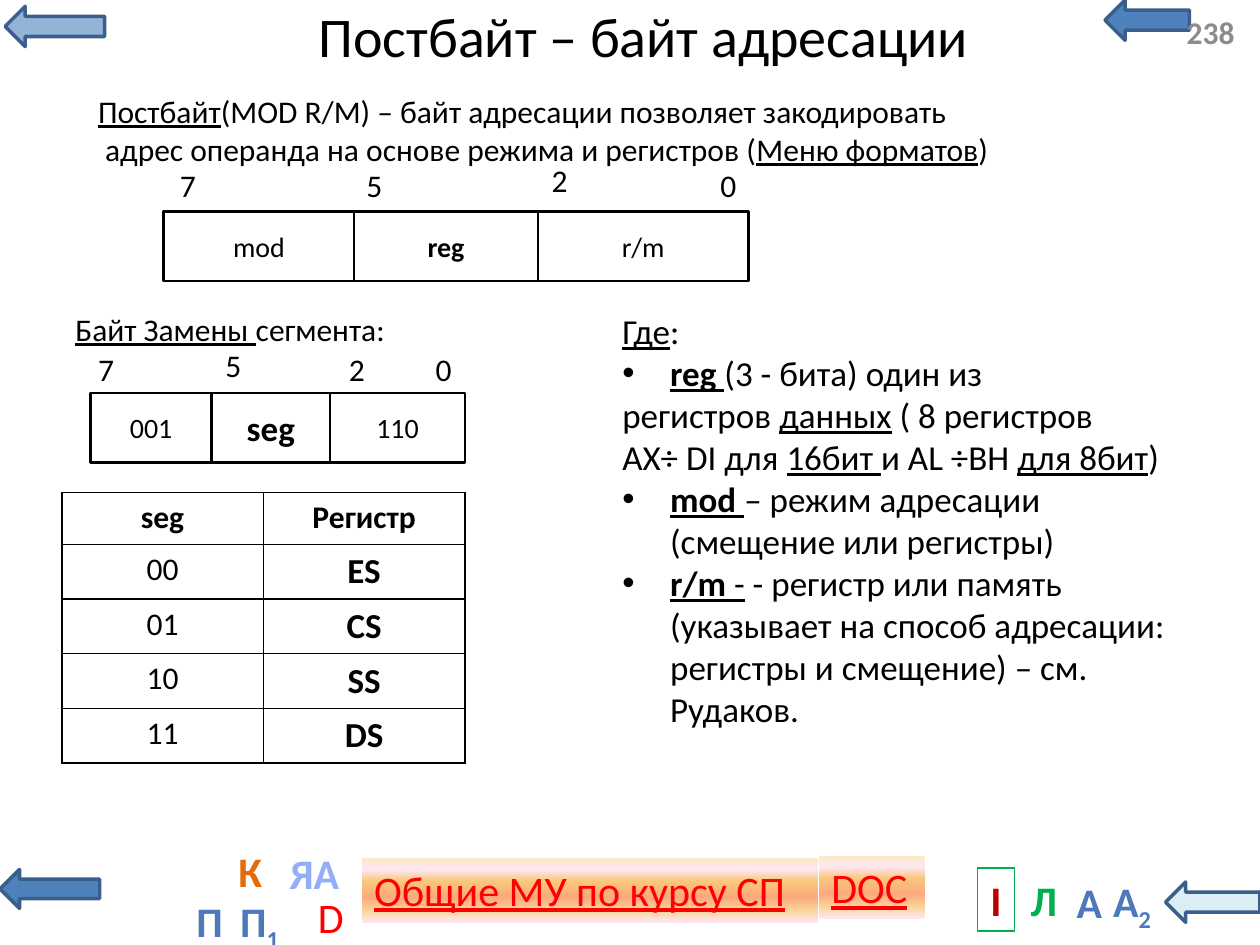
from lxml import etree
from pptx import Presentation
from pptx.dml.color import RGBColor
from pptx.enum.shapes import MSO_SHAPE
from pptx.enum.text import MSO_ANCHOR, PP_ALIGN
from pptx.oxml import parse_xml
from pptx.oxml.ns import qn
from pptx.util import Inches, Pt

RECT, LEFT_ARROW = MSO_SHAPE.RECTANGLE, MSO_SHAPE.LEFT_ARROW
MIDDLE, TOP = MSO_ANCHOR.MIDDLE, MSO_ANCHOR.TOP
CENTER, LEFT = PP_ALIGN.CENTER, PP_ALIGN.LEFT
NS = "http://schemas.openxmlformats.org/drawingml/2006/main"
FONT, BLACK, WHITE, RED, BLUE = "Calibri", "000000", "FFFFFF", "FF0000", "4D79BC"

TITLE = "Постбайт – байт адресации"
PAGE_NUMBER = "238"
ARROWS = [
    (8.77, 0, 0.67, 0.32, "4F81BD"),
    (0, 6.9, 0.79, 0.31, "4F81BD"),
    (0.04, 0.05, 0.79, 0.32, "95B3D7"),
    (9.25, 7, 0.75, 0.32, "DBEEF4"),
]
GLOW_STOPS = [(0, "FBEAC7"), (18, "FEE7F2"), (36, "FAC77D"),
              (61, "FBA97D"), (82, "FBD49C"), (100, "FEE7F2")]
GLOW_BUTTONS = [
    ("Общие МУ по курсу СП", 2.87, 6.81, 3.62, 0.51),
    ("DOC", 6.5, 6.79, 0.84, 0.5),
]
LETTER_BUTTONS = [
    ("D", 2.43, 7.03, 0.39, RED, "", WHITE),
    ("I", 7.76, 6.89, 0.29, "C00000", "b", "00B050"),
]
LETTERS = [
    ("А", "", 8.44, 6.91, 0.41, BLUE),
    ("К", "", 1.79, 6.66, 0.39, "E46C0A"),
    ("Л", "", 8.08, 6.89, 0.41, "00B050"),
    ("А", "2", 8.72, 6.9, 0.53, BLUE),
    ("ЯА", "", 2.18, 6.68, 0.63, "93AEF7"),
    ("П", "", 1.46, 7.06, 0.33, BLUE),
    ("П", "1", 1.79, 7.06, 0.54, BLUE),
]
BYTES = [
    (1.3, 1.68, [("mod", 1.51, 16, ""), ("reg", 1.46, 16, "b"), ("r/m", 1.67, 16, "")]),
    (0.72, 3.12, [("001", 0.96, 16, ""), ("seg", 0.94, 20, "b"), ("110", 1.07, 16, "")]),
]
BIT_NUMBERS = [
    ("7", 1.33, 1.27), ("5", 2.81, 1.27), ("2", 4.28, 1.23), ("0", 5.62, 1.27),
    ("7", 0.68, 2.73), ("5", 1.69, 2.7), ("2", 2.67, 2.73), ("0", 3.36, 2.73),
]
INTRO = [
    [("Постбайт", "u"), ("(MOD R/M) – байт адресации позволяет закодировать", "")],
    [(" адрес операнда на основе режима и регистров (", ""), ("Меню форматов", "u"), (")", "")],
]
SEGMENT_HEADING = [[("Байт Замены ", "u"), ("сегмента:", "")]]
LEGEND = [
    [("Где", "u"), (":", "")],
    [("reg", "bu"), (" ", "u"), ("(3 - бита) один из", "")],
    [("регистров ", ""), ("данных", "u"), (" ( 8 регистров", "")],
    [("AX÷ DI для ", ""), ("16бит ", "u"), ("и AL ÷BH ", ""), ("для 8бит", "u"), (")", "")],
    [("mod", "bu"), (" ", "u"), ("– режим адресации (смещение или регистры)", "")],
    [("r/m ", "bu"), ("-", "u"),
     (" - регистр или память (указывает на способ адресации: "
      "регистры и смещение) – см. Рудаков.", "")],
]
LEGEND_BULLETS = (1, 4, 5)
SEGMENT_ROWS = [("seg", "Регистр"), ("00", "ES"), ("01", "CS"), ("10", "SS"), ("11", "DS")]


def rgb(value):
    return RGBColor.from_string(value)


def box_at(x, y, w, h):
    return Inches(x), Inches(y), Inches(w), Inches(h)


def add_run(paragraph, text, size, color=BLACK, flags=""):
    run = paragraph.add_run()
    run.text = text
    font = run.font
    font.name, font.size = FONT, Pt(size)
    font.color.rgb = rgb(color)
    font.bold, font.underline = "b" in flags, "u" in flags
    if "s" in flags:
        run._r.get_or_add_rPr().set("baseline", "-25000")


def add_bullet(paragraph):
    properties = paragraph._p.get_or_add_pPr()
    properties.set("marL", str(Inches(0.38)))
    properties.set("indent", str(-Inches(0.38)))
    etree.SubElement(properties, qn("a:buFont")).set("typeface", "Arial")
    etree.SubElement(properties, qn("a:buChar")).set("char", "•")


def write(frame, paragraphs, size, color=BLACK, align=LEFT, anchor=TOP, wrap=True, bullets=()):
    frame.word_wrap, frame.vertical_anchor = wrap, anchor
    for index, runs in enumerate(paragraphs):
        paragraph = frame.add_paragraph() if index else frame.paragraphs[0]
        if index in bullets:
            add_bullet(paragraph)
        paragraph.alignment = align
        for text, flags in runs:
            add_run(paragraph, text, size, color, flags)


def add_text(place, paragraphs, size, **style):
    write(slide.shapes.add_textbox(*box_at(*place)).text_frame, paragraphs, size, **style)


def add_shape(parent, kind, place, fill=None, line=None, width=1):
    shape = parent.add_shape(kind, *box_at(*place))
    shape.shadow.inherit = False
    if fill:
        shape.fill.solid()
        shape.fill.fore_color.rgb = rgb(fill)
    else:
        shape.fill.background()
    if line:
        shape.line.color.rgb = rgb(line)
        shape.line.width = Pt(width)
    else:
        shape.line.fill.background()
    return shape


def add_glow(shape):
    stops = "".join(f'<a:gs pos="{position * 1000}"><a:srgbClr val="{color}"/></a:gs>'
                    for position, color in GLOW_STOPS)
    gradient = parse_xml(f'<a:gradFill xmlns:a="{NS}" rotWithShape="1"><a:gsLst>{stops}</a:gsLst>'
                         '<a:lin ang="5400000" scaled="0"/></a:gradFill>')
    properties = shape._element.spPr
    properties.replace(properties.find(qn("a:noFill")), gradient)


def add_borders(cell):
    properties = cell._tc.get_or_add_tcPr()
    for index, side in enumerate(("lnL", "lnR", "lnT", "lnB")):
        properties.insert(index, parse_xml(
            f'<a:{side} xmlns:a="{NS}" w="{Pt(1)}"><a:solidFill>'
            f'<a:srgbClr val="{BLACK}"/></a:solidFill></a:{side}>'))


presentation = Presentation()
presentation.slide_width, presentation.slide_height = Inches(10), Inches(7.5)
slide = presentation.slides.add_slide(presentation.slide_layouts[5])

for *place, color in ARROWS:
    add_shape(slide.shapes, LEFT_ARROW, place, color, "3A5F8C", 2)
for label, *place in GLOW_BUTTONS:
    button = add_shape(slide.shapes, RECT, place)
    add_glow(button)
    write(button.text_frame, [[(label, "u")]], 24, RED)
for label, x, y, width, color, flags, line in LETTER_BUTTONS:
    button = add_shape(slide.shapes, RECT, (x, y, width, 0.5), line=line, width=0.75)
    write(button.text_frame, [[(label, flags)]], 24, color, CENTER, wrap=False)
for letter, index, x, y, width, color in LETTERS:
    runs = [(letter, "b")] + ([(index, "bs")] if index else [])
    add_text((x, y, width, 0.5), [runs], 24, color=color, align=CENTER, wrap=False)

title = slide.shapes.title
title.left, title.top, title.width, title.height = box_at(1.85, -0.11, 6.52, 0.77)
write(title.text_frame, [[(TITLE, "")]], 32, align=CENTER, anchor=MIDDLE)
add_text((9.32, 0.05, 0.64, 0.4), [[(PAGE_NUMBER, "b")]], 18, color="8C8C8C", anchor=MIDDLE)

for x, y, fields in BYTES:
    byte = slide.shapes.add_group_shape()
    for label, width, size, flags in fields:
        field = add_shape(byte.shapes, RECT, (x, y, width, 0.55), WHITE, BLACK, 1.5)
        write(field.text_frame, [[(label, flags)]], size, align=CENTER, anchor=MIDDLE)
        x += width
for number, x, y in BIT_NUMBERS:
    add_text((x, y, 0.33, 0.4), [[(number, "")]], 18, wrap=False)

add_text((0.68, 0.68, 9.2, 0.71), INTRO, 18)
add_text((0.5, 2.41, 3.05, 0.4), SEGMENT_HEADING, 18)
add_text((4.84, 2.41, 4.82, 3.47), LEGEND, 20, bullets=LEGEND_BULLETS)

segments = slide.shapes.add_table(len(SEGMENT_ROWS), 2, *box_at(0.49, 3.91, 3.2, 2.05)).table
segments.first_row = segments.horz_banding = False
for row, values in enumerate(SEGMENT_ROWS):
    for column, value in enumerate(values):
        cell = segments.cell(row, column)
        cell.fill.background()
        add_borders(cell)
        paragraph = cell.text_frame.paragraphs[0]
        paragraph.alignment = CENTER
        add_run(paragraph, value, 20 if row and column else 18,
                flags="b" if column or not row else "")

presentation.save("out.pptx")
